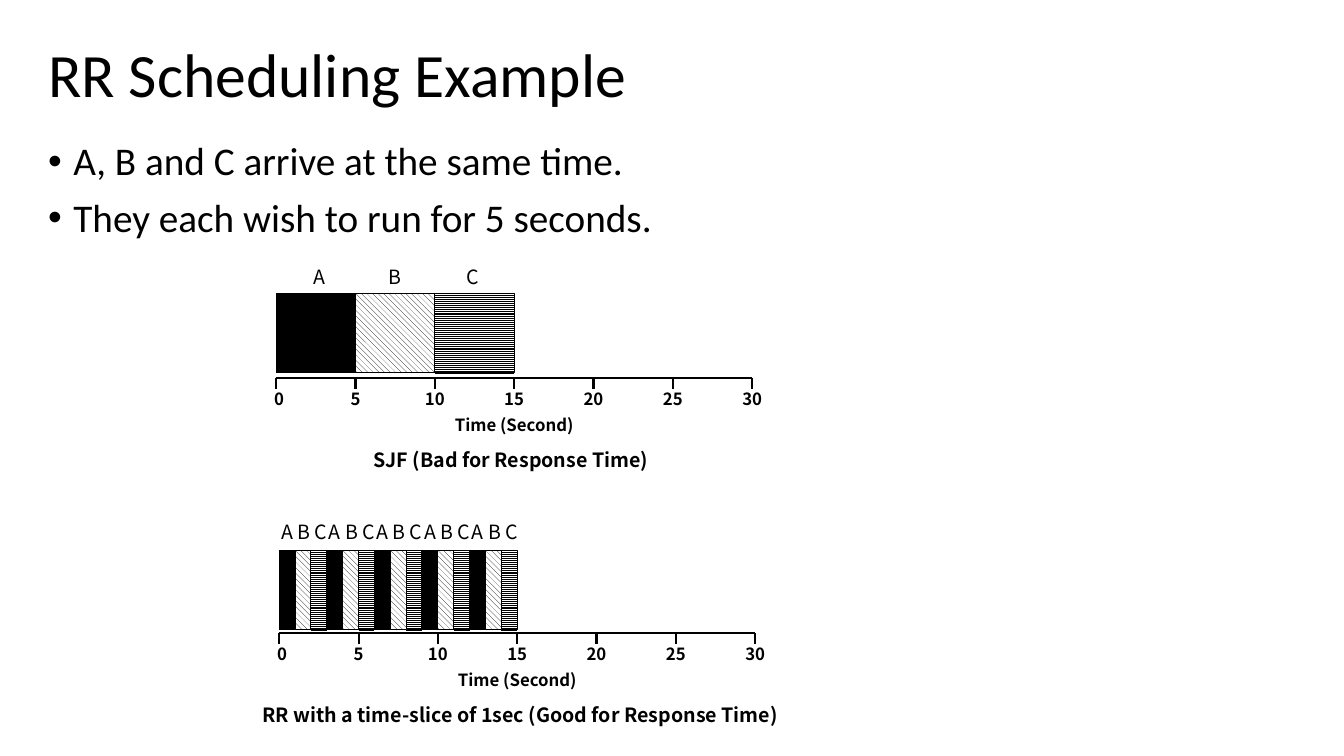
from lxml import etree
from pptx import Presentation
from pptx.dml.color import RGBColor
from pptx.enum.dml import MSO_PATTERN
from pptx.enum.shapes import MSO_CONNECTOR, MSO_SHAPE
from pptx.enum.text import MSO_ANCHOR, PP_ALIGN
from pptx.oxml.ns import qn
from pptx.util import Inches, Pt

STRAIGHT = MSO_CONNECTOR.STRAIGHT
RECTANGLE = MSO_SHAPE.RECTANGLE
MIDDLE = MSO_ANCHOR.MIDDLE
TOP = MSO_ANCHOR.TOP
CENTER = PP_ALIGN.CENTER
BLACK, WHITE = "000000", "FFFFFF"
TEXT_FONT, DIAGRAM_FONT = "Calibri", "Noto Sans CJK KR"

AXIS_LENGTH = 4.72
SECOND = AXIS_LENGTH / 30
TICK_LENGTH = 0.11
TICK_LABEL_WIDTHS = (0.24, 0.47, 0.47, 0.47, 0.47, 0.55, 0.55)
BAR_HEIGHT = 0.79
JOB_LABEL_WIDTH = 0.39
JOB_PATTERNS = {
    "A": None,
    "B": MSO_PATTERN.WIDE_DOWNWARD_DIAGONAL,
    "C": MSO_PATTERN.LIGHT_HORIZONTAL,
}


def color(value):
    return RGBColor.from_string(value)


def add_box(shapes, left, top, width, height, anchor=TOP):
    frame = shapes.add_textbox(Inches(left), Inches(top), Inches(width), Inches(height)).text_frame
    frame.word_wrap = True
    frame.vertical_anchor = anchor
    return frame


def add_run(paragraph, text, size, font_name, bold=False):
    run = paragraph.add_run()
    run.text = text
    run.font.size = Pt(size)
    run.font.name = font_name
    run.font.bold = bold
    run.font.color.rgb = color(BLACK)


def add_label(shapes, center, top, width, height, text, size, bold=True):
    paragraph = add_box(shapes, center - width / 2, top, width, height).paragraphs[0]
    paragraph.alignment = CENTER
    add_run(paragraph, text, size, DIAGRAM_FONT, bold)


def add_title(slide, text):
    paragraph = add_box(slide.shapes, 0.38, 0.04, 11.5, 1.45, MIDDLE).paragraphs[0]
    paragraph.line_spacing = 0.9
    add_run(paragraph, text, 44, TEXT_FONT)


def add_bullets(slide, lines):
    frame = add_box(slide.shapes, 0.38, 1.36, 11.5, 4.76)
    for index, line in enumerate(lines):
        paragraph = frame.add_paragraph() if index else frame.paragraphs[0]
        paragraph.line_spacing = 0.9
        paragraph.space_before = Pt(10 if index else 0)
        properties = paragraph._p.get_or_add_pPr()
        properties.set("marL", str(Inches(0.25)))
        properties.set("indent", str(Inches(-0.25)))
        etree.SubElement(properties, qn("a:buFont")).set("typeface", "Arial")
        etree.SubElement(properties, qn("a:buChar")).set("char", "•")
        add_run(paragraph, line, 28, TEXT_FONT)


def add_line(shapes, start_x, start_y, end_x, end_y):
    line = shapes.add_connector(
        STRAIGHT, Inches(start_x), Inches(start_y), Inches(end_x), Inches(end_y)
    )
    line.line.color.rgb = color(BLACK)
    line.line.width = Pt(1.5)
    etree.SubElement(line._element.spPr, qn("a:effectLst"))


def add_bar(shapes, left, top, width, job):
    bar = shapes.add_shape(RECTANGLE, Inches(left), Inches(top), Inches(width), Inches(BAR_HEIGHT))
    bar.shadow.inherit = False
    pattern = JOB_PATTERNS[job]
    if pattern is None:
        bar.fill.solid()
        bar.fill.fore_color.rgb = color(BLACK)
    else:
        bar.fill.patterned()
        bar.fill.pattern = pattern
        bar.fill.fore_color.rgb = color(BLACK)
        bar.fill.back_color.rgb = color(WHITE)
    bar.line.color.rgb = color(BLACK)
    bar.line.width = Pt(0.75)


def add_time_axis(shapes, left, top):
    add_line(shapes, left, top, left + AXIS_LENGTH, top)
    for index, width in enumerate(TICK_LABEL_WIDTHS):
        seconds = 5 * index
        tick = left + seconds * SECOND
        add_line(shapes, tick, top, tick, top + TICK_LENGTH)
        add_label(shapes, tick, top + 0.06, width, 0.3, str(seconds), 12)
    add_label(shapes, left + AXIS_LENGTH / 2, top + 0.32, 1.65, 0.3, "Time (Second)", 12)


def add_schedule(slide, left, axis_top, bar_top, jobs, seconds, label_shifts, caption, caption_box):
    """Draw one timeline; each job in turn runs for the given seconds."""
    shapes = slide.shapes.add_group_shape().shapes
    add_time_axis(shapes, left, axis_top)
    width = seconds * SECOND
    for index, job in enumerate(jobs):
        bar_left = left + index * width
        add_bar(shapes, bar_left, bar_top, width, job)
        label_center = bar_left + width / 2 + label_shifts[job]
        add_label(shapes, label_center, axis_top - 1.17, JOB_LABEL_WIDTH, 0.34, job, 14, False)
    caption_center, caption_width = caption_box
    add_label(shapes, caption_center, axis_top + 0.64, caption_width, 0.34, caption, 14)


def main():
    presentation = Presentation()
    presentation.slide_width = Inches(13.33)
    presentation.slide_height = Inches(7.5)
    slide = presentation.slides.add_slide(presentation.slide_layouts[6])
    add_title(slide, "RR Scheduling Example")
    add_bullets(slide, [
        "A, B and C arrive at the same time.",
        "They each wish to run for 5 seconds.",
    ])
    add_schedule(slide, 2.74, 3.75, 2.91, "ABC", 5, {"A": 0.04, "B": 0, "C": -0.02},
                 "SJF (Bad for Response Time)", (5.07, 4.15))
    add_schedule(slide, 2.77, 6.28, 5.46, "ABC" * 5, 1, {"A": 0, "B": 0.01, "C": 0.02},
                 "RR with a time-slice of 1sec (Good for Response Time)", (5.16, 5.37))
    presentation.save("out.pptx")


if __name__ == "__main__":
    main()
